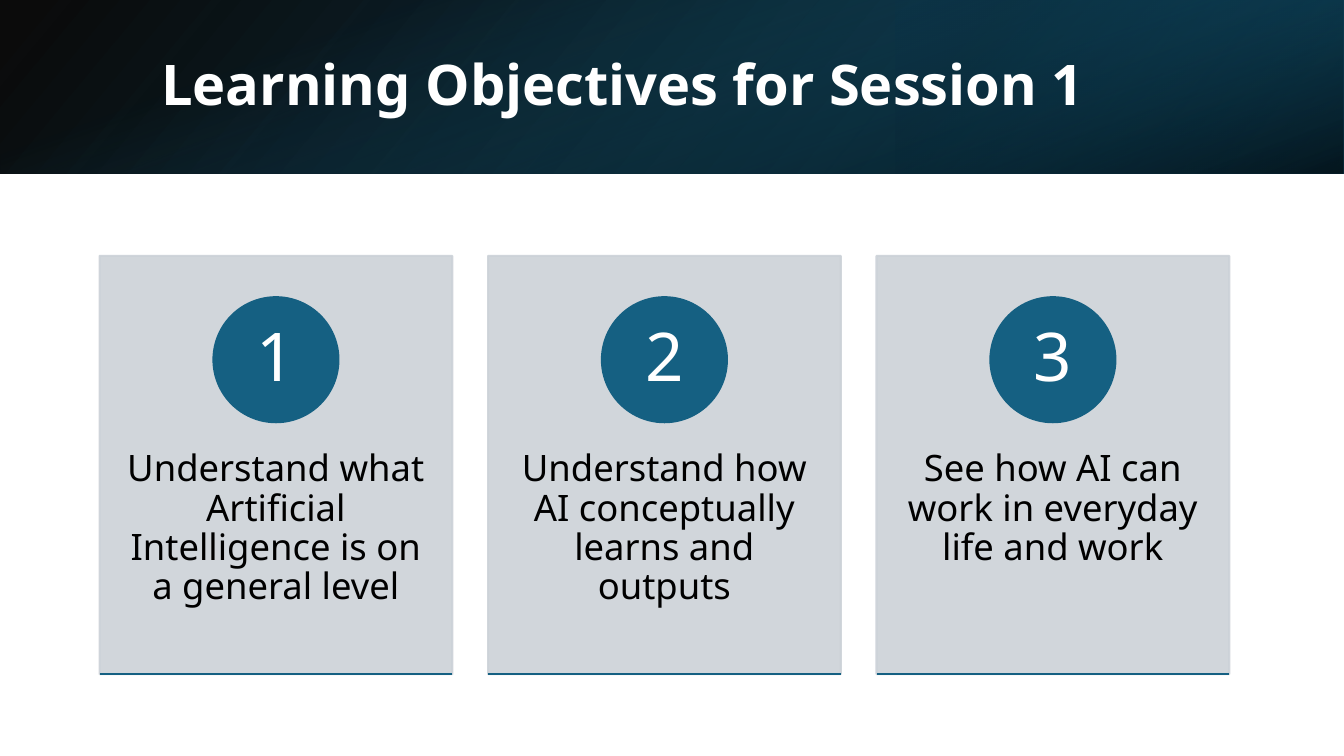
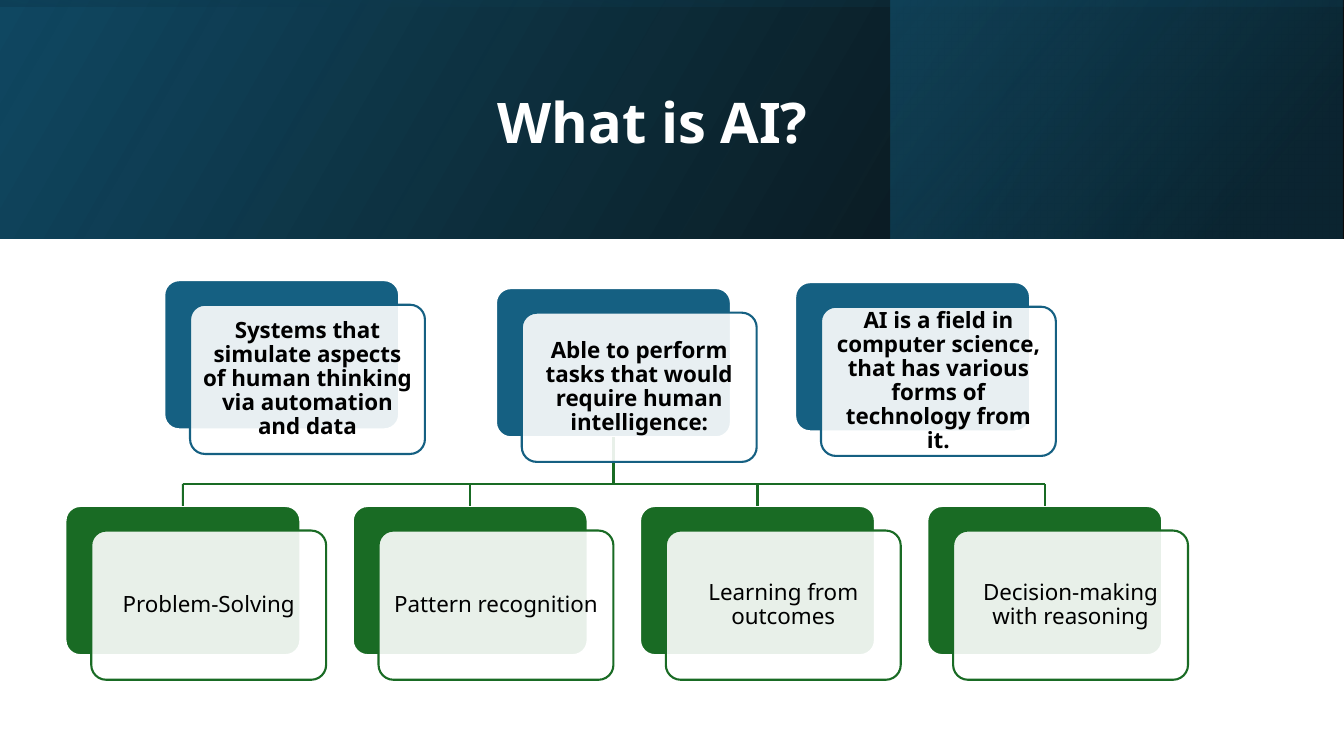
import pptx
import pptx.dml.color
import pptx.enum.shapes
import pptx.enum.text
import pptx.oxml
import pptx.oxml.ns
import pptx.util

Cm = pptx.util.Cm
Pt = pptx.util.Pt
RGBColor = pptx.dml.color.RGBColor
KIND = pptx.enum.shapes.MSO_SHAPE
ALIGN = pptx.enum.text.PP_ALIGN
ANCHOR = pptx.enum.text.MSO_ANCHOR

BLACK = RGBColor(0x00, 0x00, 0x00)
WHITE = RGBColor(0xFF, 0xFF, 0xFF)
BLUE = RGBColor(0x15, 0x60, 0x82)
DEEP = RGBColor(0x10, 0x48, 0x62)
NAVY = RGBColor(0x0B, 0x30, 0x41)
GREY = RGBColor(0xCC, 0xD2, 0xD8)
GREEN = RGBColor(0x19, 0x6B, 0x24)

WIDE, HIGH = 33.87, 19.05
NODE_W, NODE_H = 5.92, 3.76
SPACE = pptx.oxml.ns.nsdecls("a")


class Deck:
    font = "Noto Sans"
    line = Pt(1.5)

    def __init__(self):
        self.show = pptx.Presentation()
        self.show.slide_width = Cm(WIDE)
        self.show.slide_height = Cm(HIGH)
        self.slide = None

    def start(self):
        self.slide = self.show.slides.add_slide(self.show.slide_layouts[5])

    def text(self, frame, words, size, color, bold=False, align=ALIGN.CENTER,
             anchor=ANCHOR.MIDDLE, pad=None):
        frame.word_wrap = True
        frame.vertical_anchor = anchor
        if pad:
            (frame.margin_left, frame.margin_top,
             frame.margin_right, frame.margin_bottom) = map(Cm, pad)
        para = frame.paragraphs[0]
        para.alignment = align
        para.line_spacing = 0.9
        run = para.add_run()
        run.text = words
        run.font.name = self.font
        run.font.size = Pt(size)
        run.font.bold = bold
        run.font.color.rgb = color

    def title(self, words, x, y, w, h):
        head = self.slide.shapes.title
        head.left, head.top, head.width, head.height = map(Cm, (x, y, w, h))
        head.element.getparent().append(head.element)
        self.text(head.text_frame, words, 40, WHITE, True, ALIGN.LEFT)

    def shape(self, kind, x, y, w, h):
        item = self.slide.shapes.add_shape(kind, Cm(x), Cm(y), Cm(w), Cm(h))
        item.shadow.inherit = False
        return item

    def paint(self, item, fill, edge, alpha=100, rim=100):
        item.fill.solid()
        item.fill.fore_color.rgb = fill
        item.line.color.rgb = edge
        item.line.width = self.line
        colors = item.element.spPr.iter(pptx.oxml.ns.qn("a:srgbClr"))
        for color, part in zip(list(colors), (alpha, rim)):
            if part < 100:
                color.append(pptx.oxml.parse_xml(
                    f'<a:alpha {SPACE} val="{part * 1000}"/>'))

    def wash(self, x, w, h, stops, angle, turn=0, flip=True):
        wide, high = (h, w) if turn % 180 else (w, h)
        band = self.shape(KIND.RECTANGLE, x + (w - wide) / 2,
                          (h - high) / 2, wide, high)
        band.rotation = turn
        band.line.fill.background()
        props = band.element.spPr
        if flip:
            props.xfrm.set("flipH", "1")
        marks = "".join(
            f'<a:gs pos="{spot * 1000}"><a:srgbClr val="{color}">'
            f'<a:alpha val="{alpha * 1000}"/></a:srgbClr></a:gs>'
            for spot, color, alpha in stops)
        grad = pptx.oxml.parse_xml(
            f'<a:gradFill {SPACE} rotWithShape="1"><a:gsLst>{marks}</a:gsLst>'
            f'<a:lin ang="{angle * 60000}" scaled="0"/></a:gradFill>')
        props.find(pptx.oxml.ns.qn("a:prstGeom")).addnext(grad)

    def link(self, x1, y1, x2, y2, color, start=None, end=None):
        wire = self.slide.shapes.add_connector(
            pptx.enum.shapes.MSO_CONNECTOR.STRAIGHT,
            Cm(x1), Cm(y1), Cm(x2), Cm(y2))
        if start is not None:
            wire.begin_connect(start, 2)
        if end is not None:
            wire.end_connect(end, 0)
        wire.line.color.rgb = color
        wire.line.width = self.line
        wire.element.spPr.append(
            pptx.oxml.parse_xml(f'<a:effectLst {SPACE}/>'))

    def card(self, x, label, words):
        top, wide, high, size = 6.45, 8.89, 10.54, 3.15
        base = self.shape(KIND.RECTANGLE, x, top, wide, high)
        self.paint(base, GREY, GREY, 90, 90)
        self.text(base.text_frame, words, 26, BLACK, anchor=ANCHOR.TOP,
                  pad=(0.69, 4.9, 0.69, 1.14))
        disc = self.shape(KIND.OVAL, x + (wide - size) / 2, 7.49, size, size)
        self.paint(disc, BLUE, BLUE)
        self.text(disc.text_frame, label, 48, WHITE,
                  pad=(0.25, 0.03, 0.25, 0.03))
        foot = top + high
        self.link(x, foot, x + wide, foot, BLUE)

    def block(self, x, y, fill, edge, alpha=100):
        item = self.shape(KIND.ROUNDED_RECTANGLE, x, y, NODE_W, NODE_H)
        item.adjustments[0] = 0.1
        self.paint(item, fill, edge, alpha)
        return item

    def label(self, x, y, color, words, bold):
        face = self.block(x + 0.65, y + 0.62, WHITE, color, 90)
        self.text(face.text_frame, words, 16, BLACK, bold, pad=(0.18,) * 4)


def goals(deck):
    deck.start()
    high = 4.37
    deck.wash(0, WIDE, high, [(0, BLACK, 96), (100, DEEP, 100)], 140)
    deck.wash(22.58, 11.28, high, [(19, NAVY, 68), (100, BLUE, 79)], 320, 180)
    deck.wash(0, WIDE, high, [(23, BLUE, 0), (99, BLACK, 74)], 340, 90, False)
    deck.title("Learning Objectives for Session 1", 3.81, 0.97, 27.89, 2.44)
    aims = [
        "Understand what Artificial Intelligence is on a general level",
        "Understand how AI conceptually learns and outputs",
        "See how AI can work in everyday life and work",
    ]
    for i, aim in enumerate(aims):
        deck.card(2.51 + i * 9.79, str(i + 1), aim)


def basics(deck):
    deck.start()
    high = 6.02
    deck.wash(0, WIDE, high, [(0, BLACK, 96), (100, DEEP, 100)], 330)
    deck.wash(22.45, 11.38, high, [(19, NAVY, 68), (100, BLUE, 48)], 320)
    deck.wash(0, WIDE, high, [(23, DEEP, 16), (99, BLACK, 45)], 350, 270)
    deck.title("What is AI?", 12.29, 0.97, 19.58, 4.37)
    ideas = [
        (12.5, 7.26, "Able to perform tasks that would require human "
                     "intelligence:"),
        (4.14, 7.06, "Systems that simulate aspects of human thinking via "
                     "automation and data"),
        (20.04, 7.11, "AI is a field in computer science, that has various "
                      "forms of technology from it."),
    ]
    skills = ["Problem-Solving", "Pattern recognition",
              "Learning from outcomes", "Decision-making with reasoning"]
    nodes = [(x, y, BLUE, words, True) for x, y, words in ideas]
    nodes += [(1.65 + i * 7.24, 12.75, GREEN, words, False)
              for i, words in enumerate(skills)]
    backs = [deck.block(x, y, color, WHITE) for x, y, color, *_ in nodes]

    rail = 12.19
    mids = [x + NODE_W / 2 for x, *_ in nodes]
    kids = range(len(ideas), len(nodes))
    deck.link(mids[0], nodes[0][1] + NODE_H, mids[0], rail, GREEN,
              start=backs[0])
    deck.link(mids[kids[0]], rail, mids[kids[-1]], rail, GREEN)
    for i in kids:
        deck.link(mids[i], rail, mids[i], nodes[i][1], GREEN, end=backs[i])
    for node in nodes:
        deck.label(*node)


def main():
    deck = Deck()
    goals(deck)
    basics(deck)
    deck.show.save("out.pptx")


if __name__ == "__main__":
    main()
